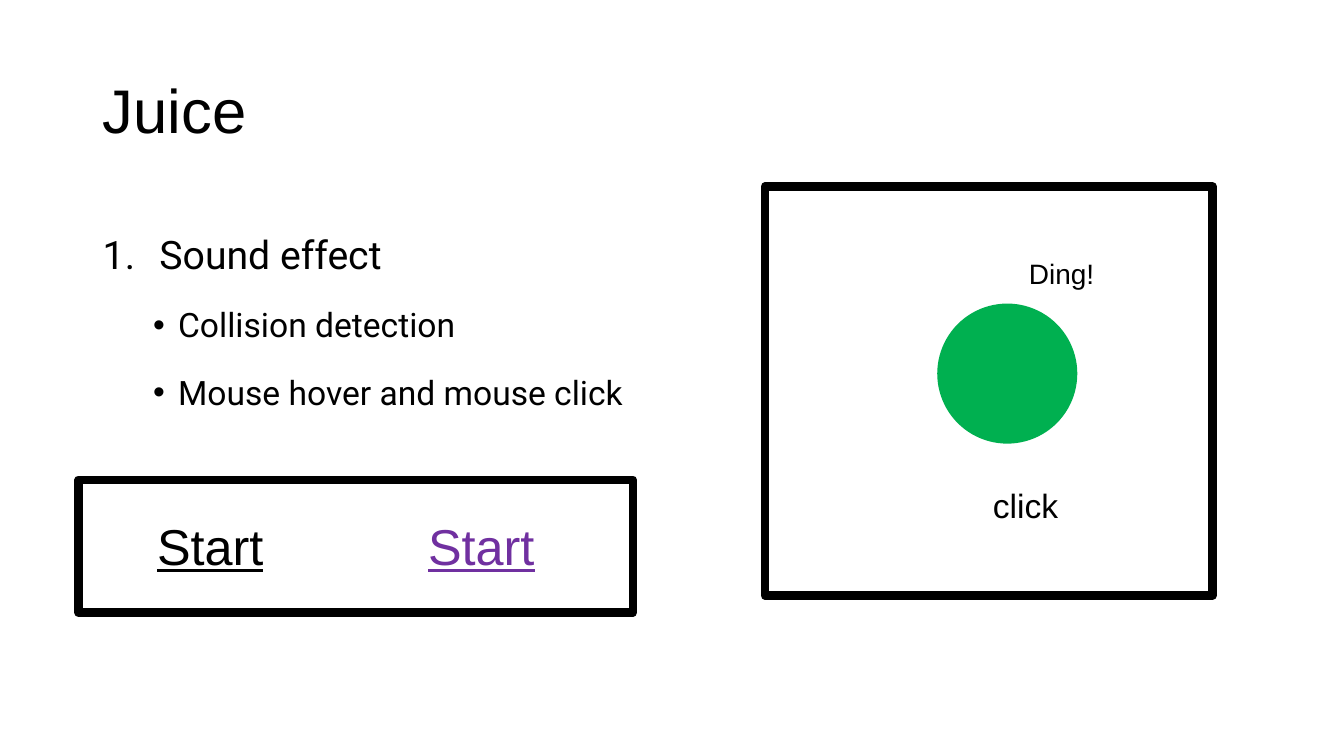
"""Builds the "Juice" slide about sound effects in a game."""
import lxml.etree
import pptx
import pptx.dml.color
import pptx.enum.shapes
import pptx.enum.text
import pptx.oxml.ns
import pptx.util

Cm = pptx.util.Cm
Pt = pptx.util.Pt
SHAPES = pptx.enum.shapes.MSO_SHAPE
ANCHORS = pptx.enum.text.MSO_ANCHOR
COLORS = {"ink": "000000", "paper": "FFFFFF", "ball": "00B050", "hover": "7030A0"}


class JuiceSlide:
    """Style and drawing methods for the current slide."""

    def __init__(self, slide):
        self.slide = slide
        self.font = "Arial"
        self.list_font = "Roboto"
        self.border = Pt(6)

    def color(self, name):
        return pptx.dml.color.RGBColor.from_string(COLORS[name])

    def frame(self, left, top, width, height, anchor=ANCHORS.TOP):
        box = self.slide.shapes.add_textbox(Cm(left), Cm(top), Cm(width), Cm(height))
        box.text_frame.word_wrap = True
        box.text_frame.vertical_anchor = anchor
        return box.text_frame

    def add_words(self, paragraph, wording, size, font, color="ink", underline=False):
        run = paragraph.add_run()
        run.text = wording
        run.font.size = Pt(size)
        run.font.name = font
        run.font.color.rgb = self.color(color)
        if underline:
            run.font.underline = True

    def label(self, wording, size, area, color="ink", underline=False):
        paragraph = self.frame(*area).paragraphs[0]
        self.add_words(paragraph, wording, size, self.font, color, underline)

    def title(self, wording, area):
        paragraph = self.frame(*area, anchor=ANCHORS.MIDDLE).paragraphs[0]
        paragraph.line_spacing = 0.9
        self.add_words(paragraph, wording, 44, self.font)

    def mark(self, paragraph, margin, hanging, tag, **attributes):
        properties = paragraph._p.get_or_add_pPr()
        properties.set("marL", str(Cm(margin)))
        properties.set("indent", str(-Cm(hanging)))
        bullet_font = lxml.etree.SubElement(properties, pptx.oxml.ns.qn("a:buFont"))
        bullet_font.set("typeface", self.list_font if tag == "a:buAutoNum" else self.font)
        lxml.etree.SubElement(properties, pptx.oxml.ns.qn(tag), attributes)

    def outline(self, heading, points, area):
        body = self.frame(*area)
        first = body.paragraphs[0]
        self.mark(first, 1.43, 1.43, "a:buAutoNum", type="arabicPeriod")
        first.line_spacing = 1.5
        self.add_words(first, heading, 28, self.list_font)
        for point in points:
            paragraph = body.add_paragraph()
            paragraph.level = 1
            self.mark(paragraph, 1.9, 0.63, "a:buChar", char="•")
            paragraph.line_spacing = 1.5
            paragraph.space_before = Pt(5)
            self.add_words(paragraph, point, 24, self.list_font)

    def shape(self, preset, area, fill=None, line=None):
        shape = self.slide.shapes.add_shape(preset, *map(Cm, area))
        shape.shadow.inherit = False
        if fill:
            shape.fill.solid()
            shape.fill.fore_color.rgb = self.color(fill)
        else:
            shape.fill.background()
        if line:
            shape.line.color.rgb = self.color(line)
            shape.line.width = self.border
        else:
            shape.line.fill.background()


def main():
    deck = pptx.Presentation()
    deck.slide_width, deck.slide_height = Cm(33.87), Cm(19.05)
    juice = JuiceSlide(deck.slides.add_slide(deck.slide_layouts[6]))

    juice.title("Juice", (2.34, 1.02, 29.21, 3.68))
    juice.outline(
        "Sound effect",
        ["Collision detection", "Mouse hover and mouse click"],
        (2.34, 5.08, 14.66, 6.12),
    )

    juice.shape(SHAPES.RECTANGLE, (19.28, 4.7, 11.28, 10.31), "paper", "ink")
    juice.shape(SHAPES.OVAL, (23.62, 7.65, 3.53, 3.53), "ball")
    juice.label("click", 24, (24.77, 12.09, 2.59, 1.27))
    juice.label("Ding!", 20, (25.68, 6.35, 2.92, 1.12))

    for left, color in ((3.71, "ink"), (10.54, "hover")):
        juice.label("Start", 36, (left, 12.85, 3.86, 1.83), color, underline=True)
    juice.shape(SHAPES.RECTANGLE, (1.98, 12.09, 13.97, 3.35), line="ink")

    deck.save("out.pptx")


if __name__ == "__main__":
    main()
